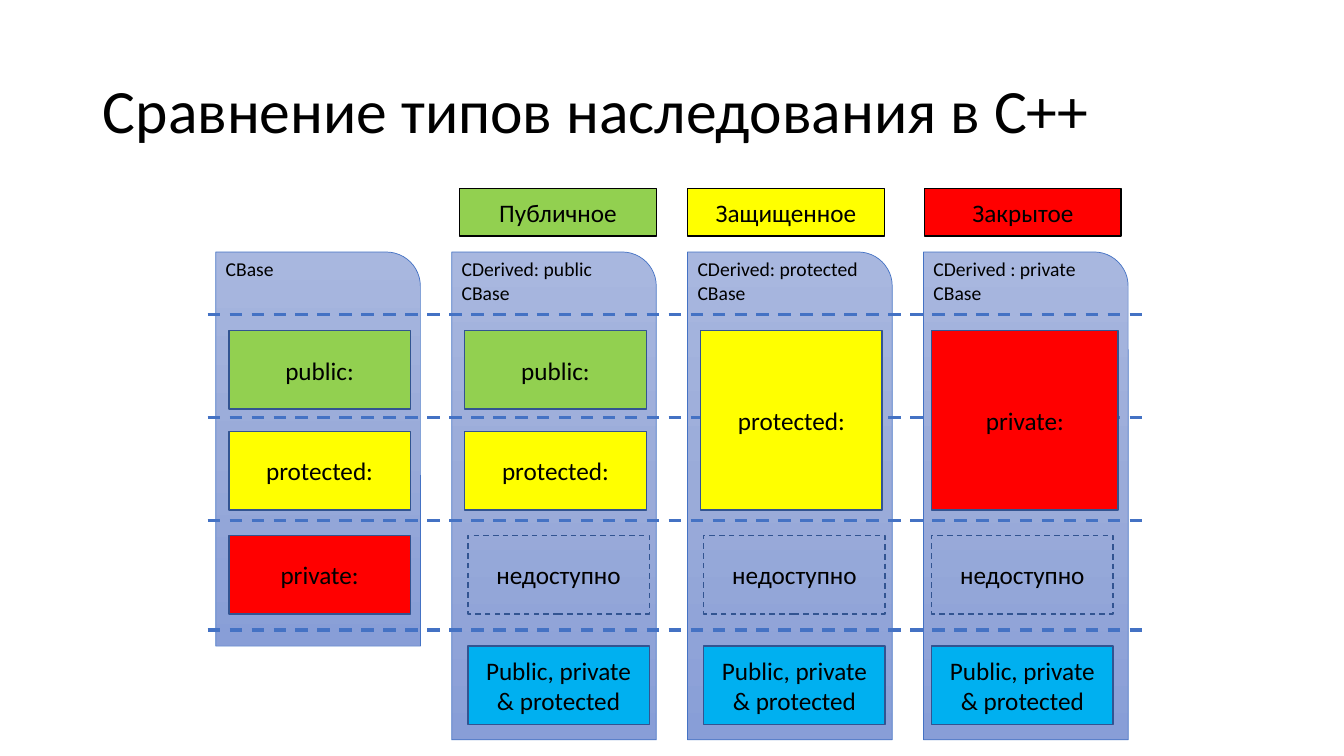
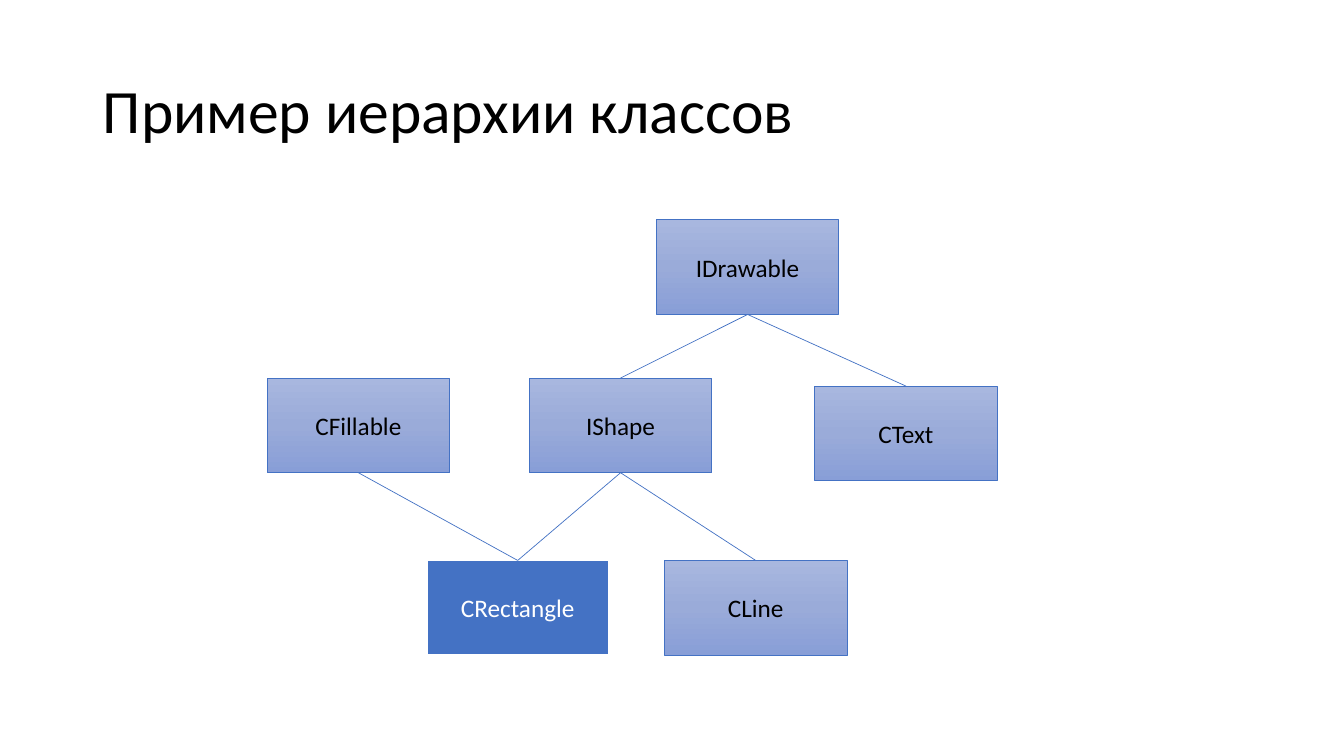
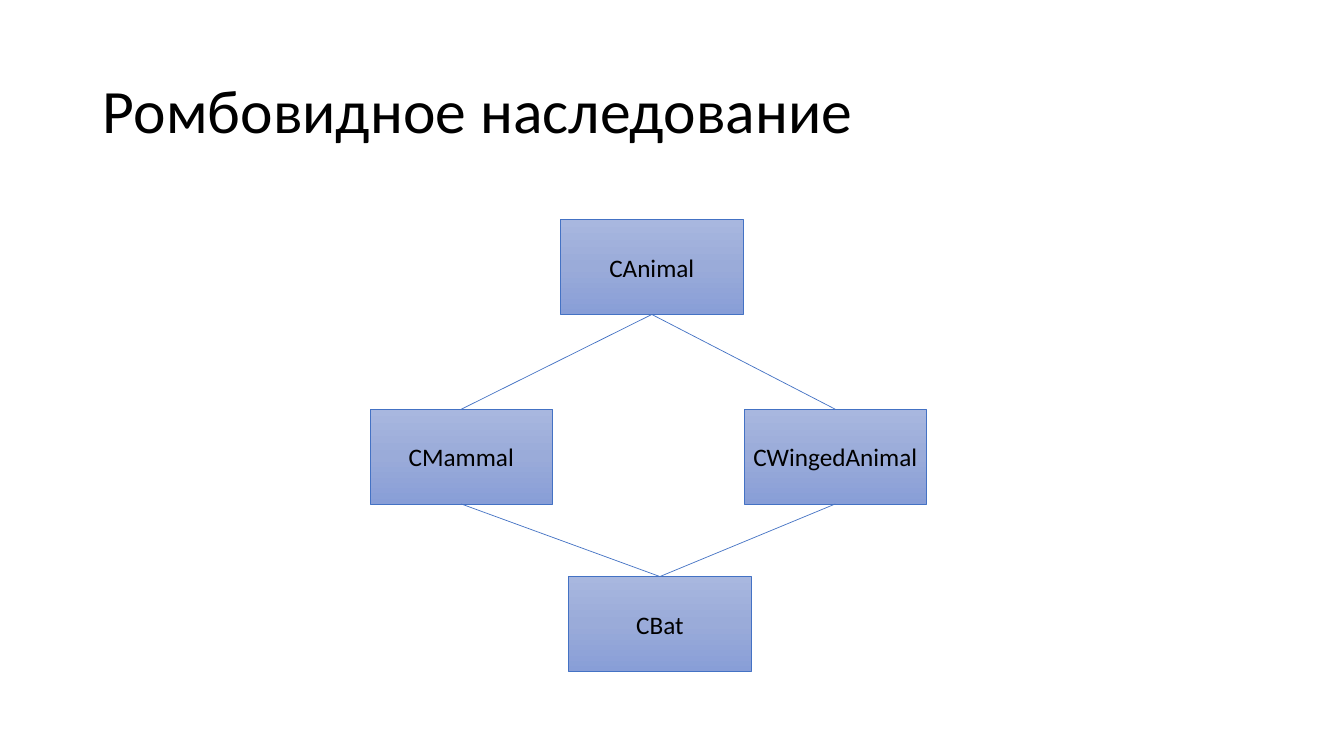
from copy import deepcopy

from lxml.etree import SubElement
from pptx import Presentation
from pptx.dml.color import RGBColor
from pptx.enum.dml import MSO_LINE
from pptx.enum.shapes import MSO_CONNECTOR, MSO_SHAPE
from pptx.enum.text import MSO_ANCHOR, MSO_AUTO_SIZE, PP_ALIGN
from pptx.oxml.ns import qn
from pptx.util import Inches, Pt

FONT = "Calibri"
COLORS = {
    "text": "000000",
    "white": "FFFFFF",
    "accent": "4472C4",
    "border": "325491",
    "public": "92D050",
    "protected": "FFFF00",
    "private": "FF0000",
    "own": "00B0F0",
}
GRADIENT = ((0, "A8B7DF"), (0.5, "9AABD9"), (1, "889ED7"))
BOTTOM, TOP = 2, 0

COLUMN_LEFT, COLUMN_PITCH, COLUMN_TOP, COLUMN_WIDTH = 2.14, 2.34, 2.5, 2.03
CELL_WIDTH, CELL_HEIGHT = 1.8, 0.78
ROW_TOPS = {"public": 3.28, "protected": 4.28, "private": 5.31, "own": 6.41}
DIVIDER_TOPS = (3.12, 4.14, 5.16, 6.25)
CLASS_WIDTH, CLASS_HEIGHT = 1.81, 0.94


def rgb(name):
    """Return the palette colour with this name."""
    return RGBColor.from_string(COLORS[name])


def write(frame, text, size, color="text", align=PP_ALIGN.CENTER, anchor=MSO_ANCHOR.MIDDLE):
    """Put one formatted run into a text frame."""
    frame.vertical_anchor = anchor
    paragraph = frame.paragraphs[0]
    paragraph.alignment = align
    run = paragraph.add_run()
    run.text = text
    run.font.name = FONT
    run.font.size = Pt(size)
    run.font.color.rgb = rgb(color)
    return paragraph


def add_titled_slide(deck, title):
    """Add a title-only slide with the shared title style."""
    slide = deck.slides.add_slide(deck.slide_layouts[5])
    heading = slide.shapes.title
    heading.left, heading.top = Inches(0.92), Inches(0.4)
    heading.width, heading.height = Inches(11.5), Inches(1.45)
    heading.text_frame.auto_size = MSO_AUTO_SIZE.NONE
    write(heading.text_frame, title, 44, align=PP_ALIGN.LEFT).line_spacing = 0.9
    return slide


def fill_gradient(shape):
    """Fill a shape with the shared vertical gradient."""
    shape.fill.gradient()
    shape.fill.gradient_angle = 270
    first = next(shape._element.spPr.iter(qn("a:gs")))
    first.addnext(deepcopy(first))
    for stop, (position, color) in zip(shape.fill.gradient_stops, GRADIENT):
        stop.position = position
        stop.color.rgb = RGBColor.from_string(color)


def add_block(slide, kind, left, top, width, height, border, weight, fill="gradient"):
    """Add an outlined shape with a gradient, a plain colour or no fill."""
    block = slide.shapes.add_shape(kind, Inches(left), Inches(top), Inches(width), Inches(height))
    block.shadow.inherit = False
    if fill == "gradient":
        fill_gradient(block)
    elif fill:
        block.fill.solid()
        block.fill.fore_color.rgb = rgb(fill)
    else:
        block.fill.background()
    block.line.color.rgb = rgb(border)
    block.line.width = Pt(weight)
    block.text_frame.word_wrap = True
    return block


def add_line(slide, weight, start=(0, 0), end=(0, 0)):
    """Add a straight accent line without a shadow."""
    points = [Inches(value) for value in (*start, *end)]
    line = slide.shapes.add_connector(MSO_CONNECTOR.STRAIGHT, *points)
    line.line.color.rgb = rgb("accent")
    line.line.width = Pt(weight)
    SubElement(line._element.spPr, qn("a:effectLst"))
    return line


def add_column(slide, index, caption, height):
    """Add one class panel with its caption."""
    left = COLUMN_LEFT + index * COLUMN_PITCH
    panel = add_block(slide, MSO_SHAPE.ROUND_1_RECTANGLE, left, COLUMN_TOP,
                      COLUMN_WIDTH, height, "accent", 0.5)
    write(panel.text_frame, caption, 14, align=PP_ALIGN.LEFT, anchor=MSO_ANCHOR.TOP)


def add_cell(slide, label, left, top, fill, width=CELL_WIDTH, height=CELL_HEIGHT, border="border"):
    """Add a labelled box, dashed when it has no fill."""
    cell = add_block(slide, MSO_SHAPE.RECTANGLE, left, top, width, height, border, 1, fill)
    if not fill:
        cell.line.dash_style = MSO_LINE.DASH
    write(cell.text_frame, label, 18)


def add_class(slide, name, left, top, highlighted=False):
    """Add a class box to a hierarchy."""
    border, weight, fill, color = (
        ("white", 1.5, "accent", "white") if highlighted else ("accent", 0.5, "gradient", "text"))
    box = add_block(slide, MSO_SHAPE.FLOWCHART_PROCESS, left, top,
                    CLASS_WIDTH, CLASS_HEIGHT, border, weight, fill)
    box.text_frame.word_wrap = False
    write(box.text_frame, name, 18, color)
    return box


def build_comparison(deck):
    """Build the comparison of inheritance types."""
    slide = add_titled_slide(deck, "Сравнение типов наследования в C++")
    captions = ("CBase", "CDerived: public CBase", "CDerived: protected CBase",
                "CDerived : private CBase")
    for index, caption in enumerate(captions):
        add_column(slide, index, caption, 4.84 if index else 3.91)
    for top in DIVIDER_TOPS:
        divider = add_line(slide, 2.25, (2.06, top), (11.35, top))
        divider.line.dash_style = MSO_LINE.DASH

    for access in ("public", "protected", "private"):
        add_cell(slide, f"{access}:", 2.27, ROW_TOPS[access], access)
    for access in ("public", "protected"):
        add_cell(slide, f"{access}:", 4.61, ROW_TOPS[access], access)
    for access, left, width in (("protected", 6.95, 1.8), ("private", 9.24, 1.85)):
        add_cell(slide, f"{access}:", left, ROW_TOPS["public"], access, width, 1.78)

    for left in (4.64, 6.98, 9.24):
        add_cell(slide, "Public, private & protected", left, ROW_TOPS["own"], "own")
        add_cell(slide, "недоступно", left, ROW_TOPS["private"], None)
    for label, left, access in (("Публичное", 4.56, "public"),
                                ("Защищенное", 6.82, "protected"),
                                ("Закрытое", 9.17, "private")):
        add_cell(slide, label, left, 1.87, access, 1.95, 0.47, "text")


def build_hierarchy(deck, title, places, links, highlighted=None):
    """Build a slide of class boxes joined from parent to child."""
    slide = add_titled_slide(deck, title)
    classes = {name: add_class(slide, name, left, top, name == highlighted)
               for name, (left, top) in places.items()}
    for parent, child in links:
        link = add_line(slide, 0.5)
        link.begin_connect(classes[parent], BOTTOM)
        link.end_connect(classes[child], TOP)


def main():
    """Build and save the presentation."""
    deck = Presentation()
    deck.slide_width, deck.slide_height = Inches(13.33), Inches(7.5)
    build_comparison(deck)
    build_hierarchy(
        deck, "Пример иерархии классов",
        {"IDrawable": (6.51, 2.18), "IShape": (5.25, 3.75), "CText": (8.08, 3.83),
         "CFillable": (2.65, 3.75), "CLine": (6.59, 5.56), "CRectangle": (4.23, 5.56)},
        (("IDrawable", "IShape"), ("IDrawable", "CText"), ("IShape", "CLine"),
         ("IShape", "CRectangle"), ("CFillable", "CRectangle")),
        highlighted="CRectangle")
    build_hierarchy(
        deck, "Ромбовидное наследование",
        {"CAnimal": (5.56, 2.18), "CMammal": (3.67, 4.06),
         "CWingedAnimal": (7.38, 4.06), "CBat": (5.64, 5.72)},
        (("CAnimal", "CMammal"), ("CAnimal", "CWingedAnimal"),
         ("CMammal", "CBat"), ("CWingedAnimal", "CBat")))
    deck.save("out.pptx")


if __name__ == "__main__":
    main()
